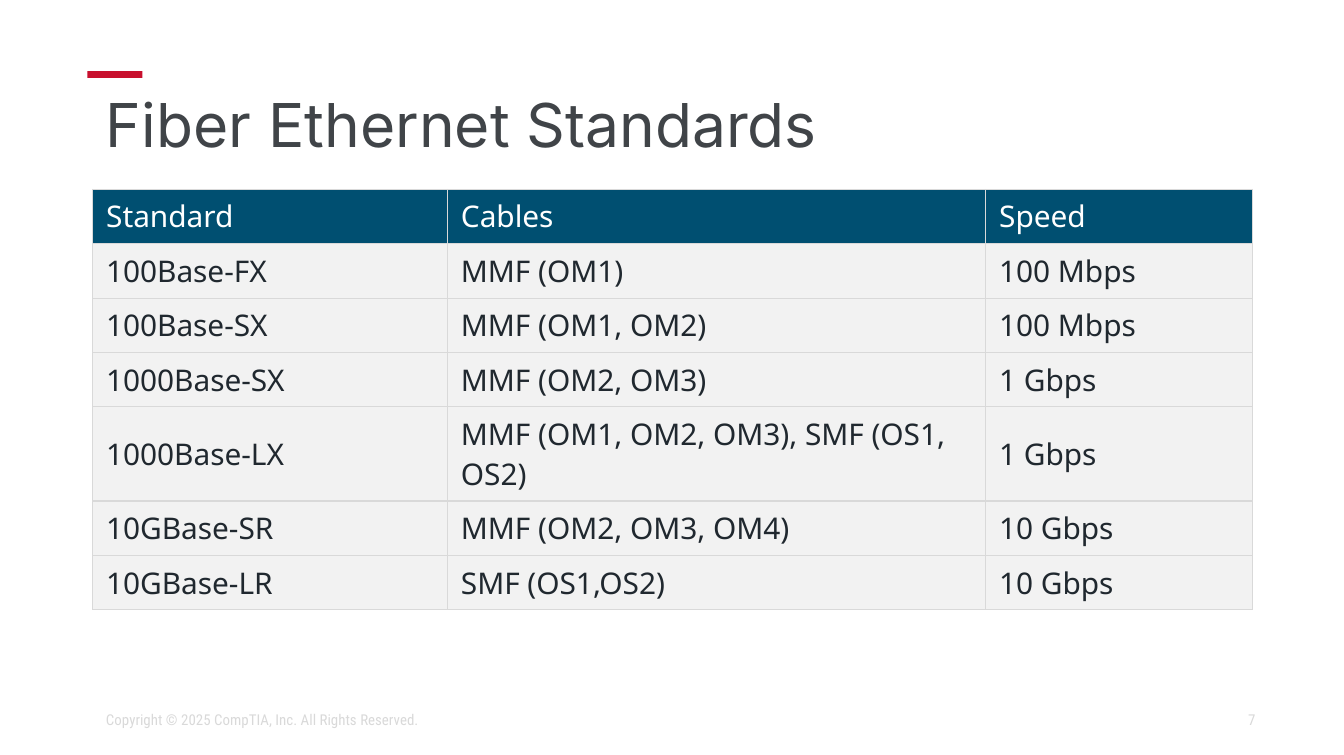
from lxml.etree import SubElement
from pptx import Presentation
from pptx.dml.color import RGBColor
from pptx.enum.shapes import MSO_SHAPE
from pptx.enum.text import MSO_ANCHOR, PP_ALIGN
from pptx.oxml.ns import qn
from pptx.util import Emu, Pt

PX = 4572  # 200 px to the inch
GRID_LINE = "D9D9D9"


def color(value):
    return RGBColor.from_string(value)


def write(frame, text, font, size, hex_color, align=PP_ALIGN.LEFT):
    para = frame.paragraphs[0]
    para.text = text
    para.alignment = align
    para.font.name = font
    para.font.size = Pt(size)
    para.font.bold = False
    para.font.color.rgb = color(hex_color)
    return para


deck = Presentation()
deck.slide_width, deck.slide_height = Emu(2000 * PX), Emu(1124 * PX)
slide = deck.slides.add_slide(deck.slide_layouts[6])

# Red accent above the title
accent = slide.shapes.add_shape(
    MSO_SHAPE.RECTANGLE, 130 * PX, 106 * PX, 82 * PX, 10 * PX)
accent.shadow.inherit = False
accent.fill.solid()
accent.fill.fore_color.rgb = color("C8102E")
accent.line.fill.background()

# Title and footer
texts = [
    ("Fiber Ethernet Standards", (138, 128, 1724, 126),
     "Inter", 32.4, "404448", PP_ALIGN.LEFT),
    ("7", (1412, 1041, 476, 60),
     "Roboto Condensed", 8, "D9D9D9", PP_ALIGN.RIGHT),
    ("Copyright © 2025 CompTIA, Inc. All Rights Reserved.", (138, 1041, 862, 60),
     "Roboto Condensed", 8, "D9D9D9", PP_ALIGN.LEFT),
]
for text, place, font, size, hex_color, align in texts:
    box = slide.shapes.add_textbox(*(length * PX for length in place))
    box.text_frame.word_wrap = True
    box.text_frame.vertical_anchor = MSO_ANCHOR.MIDDLE
    para = write(box.text_frame, text, font, size, hex_color, align)
    if font == "Inter":
        para.line_spacing = 0.9

# Table of standards
rows = [
    ("Standard", "Cables", "Speed"),
    ("100Base-FX", "MMF (OM1)", "100 Mbps"),
    ("100Base-SX", "MMF (OM1, OM2)", "100 Mbps"),
    ("1000Base-SX", "MMF (OM2, OM3)", "1 Gbps"),
    ("1000Base-LX", "MMF (OM1, OM2, OM3), SMF (OS1, OS2)", "1 Gbps"),
    ("10GBase-SR", "MMF (OM2, OM3, OM4)", "10 Gbps"),
    ("10GBase-LR", "SMF (OS1,OS2)", "10 Gbps"),
]
column_widths = [528, 801, 397]
row_heights = [81, 81, 81, 81, 140, 81, 81]
table = slide.shapes.add_table(
    len(rows), len(column_widths), 138 * PX, 282 * PX,
    sum(column_widths) * PX, sum(row_heights) * PX).table
for column, width in zip(table.columns, column_widths):
    column.width = Emu(width * PX)

for row_index, values in enumerate(rows):
    table.rows[row_index].height = Emu(row_heights[row_index] * PX)
    is_header = row_index == 0
    for column_index, value in enumerate(values):
        cell = table.cell(row_index, column_index)
        cell.vertical_anchor = MSO_ANCHOR.TOP if is_header else MSO_ANCHOR.MIDDLE
        write(cell.text_frame, value, "Noto Sans", 16,
              "FFFFFF" if is_header else "20282F")
        # Borders come before the fill in the cell properties
        properties = cell._tc.get_or_add_tcPr()
        for side in ("a:lnL", "a:lnR", "a:lnT", "a:lnB"):
            border = SubElement(properties, qn(side), w=str(Pt(0.75)))
            line_fill = SubElement(border, qn("a:solidFill"))
            SubElement(line_fill, qn("a:srgbClr"), val=GRID_LINE)
        cell.fill.solid()
        cell.fill.fore_color.rgb = color("004F71" if is_header else "F2F2F2")

deck.save("out.pptx")
